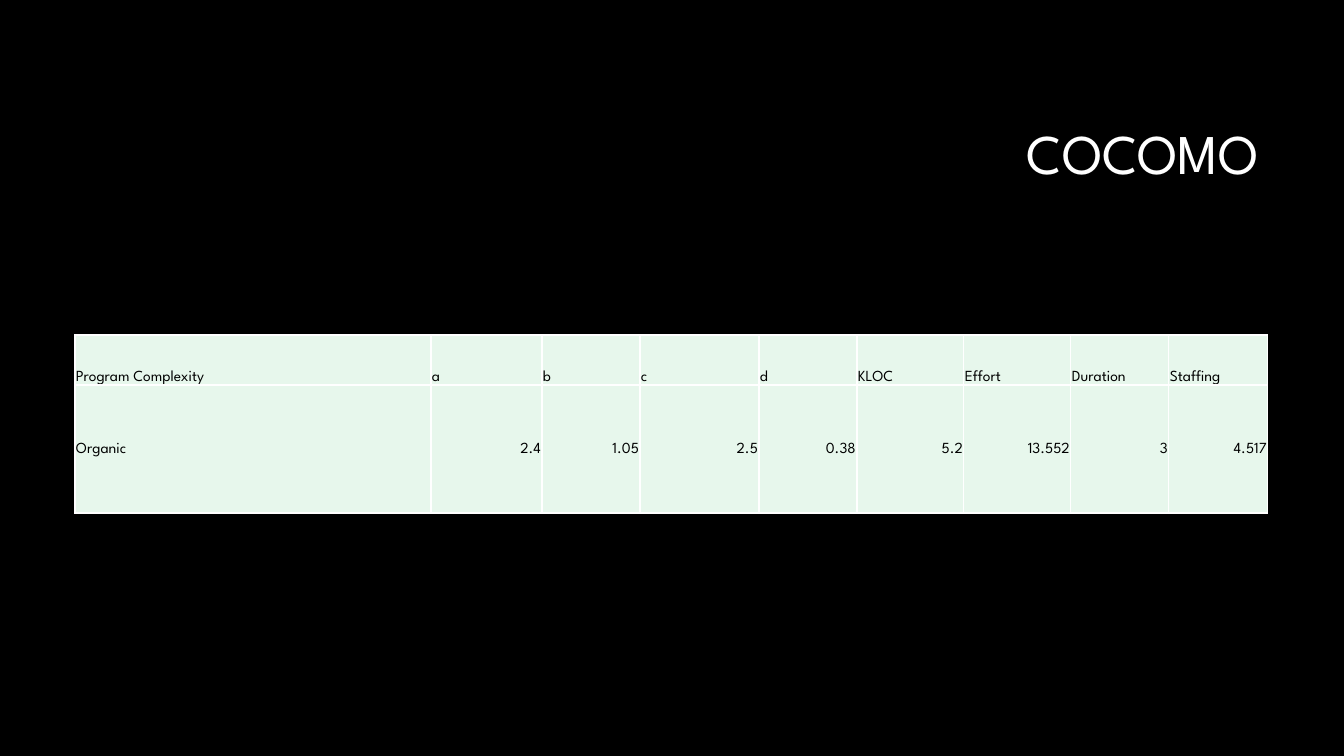
from dataclasses import dataclass

from lxml import etree
from pptx import Presentation
from pptx.dml.color import RGBColor
from pptx.enum.text import MSO_ANCHOR, PP_ALIGN
from pptx.oxml.ns import qn
from pptx.util import Pt

LEFT, RIGHT = PP_ALIGN.LEFT, PP_ALIGN.RIGHT
MIDDLE, BOTTOM = MSO_ANCHOR.MIDDLE, MSO_ANCHOR.BOTTOM

# Content
TITLE = "COCOMO"
HEADINGS = ["Program Complexity", "a", "b", "c", "d",
            "KLOC", "Effort", "Duration", "Staffing"]
ORGANIC = ["Organic", "2.4", "1.05", "2.5", "0.38", "5.2", "13.552", "3", "4.517"]

# Layout in px
SLIDE_SIZE = (1344, 756)
TITLE_BOX = (320, 85, 949, 142)
TABLE_ORIGIN = (75, 335)
COLUMN_WIDTHS = [356, 111, 98, 119, 98, 107, 107, 98, 99]
ROW_HEIGHTS = [50, 128]
CELL_INSET = 1


@dataclass(frozen=True)
class Theme:
    font: str = "League Spartan"
    background: RGBColor = RGBColor(0x00, 0x00, 0x00)
    title: RGBColor = RGBColor(0xFF, 0xFF, 0xFF)
    cell_text: RGBColor = RGBColor(0x00, 0x00, 0x00)
    cell_fill: RGBColor = RGBColor(0xE7, 0xF7, 0xEC)
    border: RGBColor = RGBColor(0xFF, 0xFF, 0xFF)
    title_size: int = 40
    cell_size: int = 11
    border_width: int = 1


THEME = Theme()


def px(length):
    return round(length * 914400 / 100.8)


def write(frame, text, size, color, align):
    paragraph = frame.paragraphs[0]
    paragraph.alignment = align
    run = paragraph.add_run()
    run.text = text
    run.font.name = THEME.font
    run.font.size = Pt(size)
    run.font.color.rgb = color
    return paragraph


def add_borders(cell):
    properties = cell._tc.get_or_add_tcPr()
    for position, side in enumerate(("a:lnL", "a:lnR", "a:lnT", "a:lnB")):
        line = etree.Element(qn(side), w=str(Pt(THEME.border_width)))
        fill = etree.SubElement(line, qn("a:solidFill"))
        etree.SubElement(fill, qn("a:srgbClr"), val=str(THEME.border))
        properties.insert(position, line)


def add_title(slide):
    title = slide.shapes.title
    title.left, title.top, title.width, title.height = map(px, TITLE_BOX)
    frame = title.text_frame
    frame.word_wrap = True
    frame.vertical_anchor = MIDDLE
    paragraph = write(frame, TITLE, THEME.title_size, THEME.title, RIGHT)
    paragraph.line_spacing = 0.9


def add_estimates(slide):
    rows = [HEADINGS, ORGANIC]
    size = (sum(COLUMN_WIDTHS), sum(ROW_HEIGHTS))
    table = slide.shapes.add_table(
        len(rows), len(HEADINGS), *map(px, TABLE_ORIGIN + size)).table
    table.first_row = table.horz_banding = False
    for column, width in zip(table.columns, COLUMN_WIDTHS):
        column.width = px(width)
    for row, height in zip(table.rows, ROW_HEIGHTS):
        row.height = px(height)

    for r, texts in enumerate(rows):
        for c, text in enumerate(texts):
            cell = table.cell(r, c)
            cell.margin_left = cell.margin_right = cell.margin_top = px(CELL_INSET)
            cell.margin_bottom = 0
            cell.vertical_anchor = MIDDLE if r else BOTTOM
            cell.fill.solid()
            cell.fill.fore_color.rgb = THEME.cell_fill
            add_borders(cell)
            # Numbers sit right, labels left
            write(cell.text_frame, text, THEME.cell_size, THEME.cell_text,
                  RIGHT if r and c else LEFT)


def main():
    deck = Presentation()
    deck.slide_width, deck.slide_height = map(px, SLIDE_SIZE)
    slide = deck.slides.add_slide(deck.slide_layouts[5])
    slide.background.fill.solid()
    slide.background.fill.fore_color.rgb = THEME.background
    add_title(slide)
    add_estimates(slide)
    deck.save("out.pptx")


if __name__ == "__main__":
    main()
